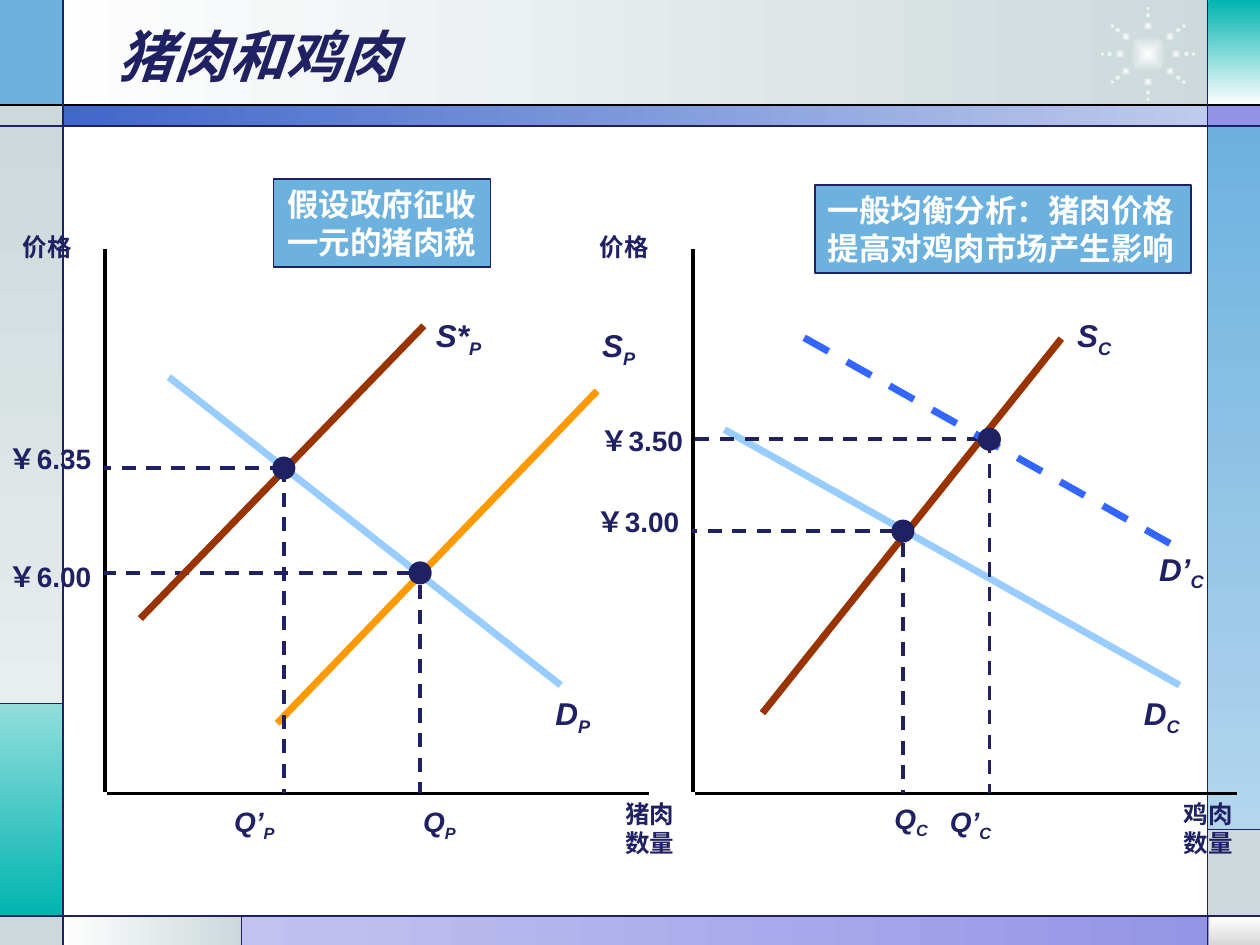
"""Build a slide showing how a pork tax moves the pork and chicken markets."""
from dataclasses import dataclass
from math import cos, radians, sin

from lxml.etree import SubElement
from pptx import Presentation
from pptx.dml.color import RGBColor
from pptx.enum.dml import MSO_LINE
from pptx.enum.shapes import MSO_CONNECTOR, MSO_SHAPE
from pptx.enum.text import MSO_ANCHOR, MSO_AUTO_SIZE, PP_ALIGN
from pptx.oxml.ns import qn
from pptx.util import Pt


@dataclass(frozen=True)
class Theme:
    latin: str = "Arial"
    asian: str = "Noto Sans CJK SC"
    navy: str = "1F2163"
    black: str = "000000"
    white: str = "FFFFFF"
    pearl: str = "FEFEFE"
    mist: str = "CCD8DA"
    haze: str = "E8EDEE"
    silver: str = "D7D7D7"
    sky: str = "6DB1DF"
    pale_sky: str = "B3D6ED"
    teal: str = "00B4B0"
    pale_teal: str = "92DEDC"
    violet: str = "9292E6"
    pale_violet: str = "C2C2F0"
    royal: str = "4067CA"
    pale_royal: str = "BECBEC"
    demand: str = "99CCFF"
    new_demand: str = "3366FF"
    supply: str = "FF9900"
    brown: str = "993300"
    title_size: int = 32
    curve_size: int = 18
    value_size: int = 16
    axis_size: int = 14
    rule: float = 0.75
    axis: float = 2
    curve: float = 4


theme = Theme()
deck = Presentation()
deck.slide_width, deck.slide_height = Pt(720), Pt(540)
slide = deck.slides.add_slide(deck.slide_layouts[5])
shapes = slide.shapes


def add_figure(preset, box, colours, angle=0, outline=None):
    figure = shapes.add_shape(preset, *map(Pt, box))
    figure.shadow.inherit = False
    if len(colours) == 1:
        figure.fill.solid()
        figure.fill.fore_color.rgb = RGBColor.from_string(colours[0])
    else:
        figure.fill.gradient()
        figure.fill.gradient_angle = angle
        for stop, colour in zip(figure.fill.gradient_stops, colours):
            stop.color.rgb = RGBColor.from_string(colour)
    if outline:
        figure.line.color.rgb = RGBColor.from_string(outline)
        figure.line.width = Pt(1)
    else:
        figure.line.fill.background()
    return figure


def write(frame, lines, size, colour=theme.navy, align=PP_ALIGN.LEFT, italic=False, subscript=""):
    font_format = {"name": theme.latin, "size": Pt(size), "bold": True, "italic": italic}
    for index, line in enumerate(lines):
        paragraph = frame.add_paragraph() if index else frame.paragraphs[0]
        paragraph.alignment = align
        for words, offset in ((line, None), (subscript, "-25000")):
            if not words:
                continue
            run = paragraph.add_run()
            run.text = words
            for attribute, value in font_format.items():
                setattr(run.font, attribute, value)
            run.font.color.rgb = RGBColor.from_string(colour)
            properties = run.font._element
            SubElement(properties, qn("a:ea"), typeface=theme.asian)
            if offset:
                properties.set("baseline", offset)


panels = [
    ((36, 0, 667.4, 60.5), (theme.mist, theme.pearl), 180),
    ((0, 0, 36, 60.5), (theme.sky,), 0),
    ((0, 60, 36, 12), (theme.mist,), 0),
    ((0, 72, 36, 330), (theme.mist, theme.haze), 270),
    ((0, 402, 36, 122), (theme.pale_teal, theme.teal), 270),
    ((0, 524, 36, 16), (theme.mist,), 0),
    ((36, 523.5, 103, 16.5), (theme.mist, theme.pearl), 180),
    ((138, 523.5, 582, 16.5), (theme.violet, theme.pale_violet), 180),
    ((691, 524, 29, 16), (theme.white, theme.silver), 270),
    ((690, 474, 30, 50), (theme.mist,), 0),
    ((690, 72, 30, 402), (theme.sky, theme.pale_sky), 270),
    ((690, 60, 30, 12), (theme.violet,), 0),
    ((690.5, 0, 29.5, 60), (theme.teal, theme.pearl), 270),
    ((36, 60, 654.5, 12), (theme.pale_royal, theme.royal), 180),
]
for box, colours, angle in panels:
    add_figure(MSO_SHAPE.RECTANGLE, box, colours, angle)

sun_x, sun_y = 656, 30.8
sun_dots = [(0, 0, 21.6)] + [
    (ray, radius, diameter)
    for ray in (0, 38, 90, 142, 180, 218, 270, 322)
    for radius, diameter in ((16, 5.4), (22, 3.5), (26, 2.6))
]
for ray, radius, diameter in sun_dots:
    left = sun_x + radius * cos(radians(ray)) - diameter / 2
    top = sun_y + radius * sin(radians(ray)) - diameter / 2
    dot = add_figure(MSO_SHAPE.OVAL, (left, top, diameter, diameter), (theme.pearl, theme.mist))
    gradient = dot._element.spPr.find(qn("a:gradFill"))
    gradient.remove(gradient.find(qn("a:lin")))
    glow = SubElement(gradient, qn("a:path"))
    glow.set("path", "rect")
    SubElement(glow, qn("a:fillToRect"), l="50000", t="50000", r="50000", b="50000")

equilibria = [
    (240.1, 327.4, 59.5, 5, 7),
    (516, 303.5, 395.5, 5, 7),
    (162.2, 267.5, 59.5, 0, 0),
    (565.4, 251, 396.5, 5, 0),
]
strokes = [
    (0, 60, 720, 60, theme.black, theme.rule, False),
    *[(*ends, theme.navy, theme.rule, False) for ends in (
        (0, 72, 720, 72), (0, 523.5, 720, 523.5), (36, 0, 36, 540), (690, 0, 690, 540),
        (36, 402, 0, 402), (138, 523.5, 138, 540), (690, 474, 720, 474))],
    (96.5, 215.5, 320.4, 391.5, theme.demand, theme.curve, False),
    (414, 245.5, 674, 391.5, theme.demand, theme.curve, False),
    *[(*ends, theme.black, theme.axis, False) for x in (60, 396) for ends in (
        (x, 142.5, x, 452.5), (x + 1.2, 453.5, x + 311, 453.5))],
    (158.4, 413.3, 341.2, 223.4, theme.supply, theme.curve, False),
    (435.7, 407.5, 606.5, 193.5, theme.brown, theme.curve, False),
    *[(*ends, theme.navy, theme.axis, True) for x, y, axis_x, lead, gap in equilibria for ends in (
        (x - lead, y, axis_x, y), (x, y + gap, x, 453))],
    (80.2, 353.5, 242.2, 186.2, theme.brown, theme.curve, False),
    (459.5, 193, 669, 310.8, theme.new_demand, theme.curve, True),
]
for *ends, colour, width, dashed in strokes:
    stroke = shapes.add_connector(MSO_CONNECTOR.STRAIGHT, *map(Pt, ends))
    stroke.line.color.rgb = RGBColor.from_string(colour)
    stroke.line.width = Pt(width)
    if dashed:
        stroke.line.dash_style = MSO_LINE.DASH
    SubElement(stroke._element.spPr, qn("a:effectLst"))

for x, y, *_ in equilibria:
    add_figure(MSO_SHAPE.OVAL, (x - 6.1, y - 6.1, 12.2, 12.2), (theme.navy,), outline=theme.navy)

heading = shapes.title
title_format = {"left": Pt(60), "top": Pt(9.5), "width": Pt(660), "height": Pt(45)}
for attribute, value in title_format.items():
    setattr(heading, attribute, value)
heading.text_frame.vertical_anchor = MSO_ANCHOR.BOTTOM
heading.text_frame.auto_size = MSO_AUTO_SIZE.NONE
write(heading.text_frame, ["猪肉和鸡肉"], theme.title_size, italic=True)
shapes._spTree.append(heading._element)

curve_style = {"size": theme.curve_size, "italic": True}
quantity_style = {"size": theme.value_size, "italic": True}
price_style = {"size": theme.value_size}
axis_style = {"size": theme.axis_size}
good_style = {"size": theme.axis_size, "align": PP_ALIGN.RIGHT}
labels = [
    ((646.6, 393, 34.6, 31.7), ["D"], "C", curve_style),
    ((310.3, 393, 34.6, 31.7), ["D"], "P", curve_style),
    ((337, 183, 33, 31.7), ["S"], "P", curve_style),
    ((608.4, 177, 34, 31.7), ["S"], "C", curve_style),
    ((242, 177, 40.3, 31.7), ["S*"], "P", curve_style),
    ((655.2, 310.5, 39.6, 31.7), ["D’"], "C", curve_style),
    ((234.7, 456, 33, 28.8), ["Q"], "P", quantity_style),
    ((504, 454.3, 33, 28.8), ["Q"], "C", quantity_style),
    ((126.7, 456, 37.4, 28.8), ["Q’"], "P", quantity_style),
    ((535.7, 456, 37.4, 28.8), ["Q’"], "C", quantity_style),
    ((-2, 316, 64.8, 26), ["￥6.00"], "", price_style),
    ((-2, 249, 64.8, 26), ["￥6.35"], "", price_style),
    ((334, 285, 64.8, 26), ["￥3.00"], "", price_style),
    ((336.2, 238.3, 64.8, 26), ["￥3.50"], "", price_style),
    ((5.8, 129, 42.5, 24), ["价格"], "", axis_style),
    ((335.5, 129, 42.5, 24), ["价格"], "", axis_style),
    ((350, 453, 42.5, 40.3), ["猪肉", "数量"], "", good_style),
    ((669, 453, 42.5, 40.3), ["鸡肉", "数量"], "", good_style),
]
for box, lines, subscript, style in labels:
    frame = shapes.add_textbox(*map(Pt, box)).text_frame
    slack_side = "margin_left" if "align" in style else "margin_right"
    label_format = {"word_wrap": True, "auto_size": MSO_AUTO_SIZE.NONE, slack_side: Pt(0)}
    for attribute, value in label_format.items():
        setattr(frame, attribute, value)
    write(frame, lines, subscript=subscript, **style)

callouts = [
    ((156.3, 102.3, 124, 50.4), "假设政府征收一元的猪肉税", PP_ALIGN.CENTER),
    ((465.8, 105.8, 214.6, 50.4), "一般均衡分析：猪肉价格提高对鸡肉市场产生影响", PP_ALIGN.LEFT),
]
for box, message, align in callouts:
    frame = add_figure(MSO_SHAPE.RECTANGLE, box, (theme.sky,), outline=theme.navy).text_frame
    frame.word_wrap = True
    frame.vertical_anchor = MSO_ANCHOR.TOP
    write(frame, [message], theme.curve_size, theme.white, align)

deck.save("out.pptx")
